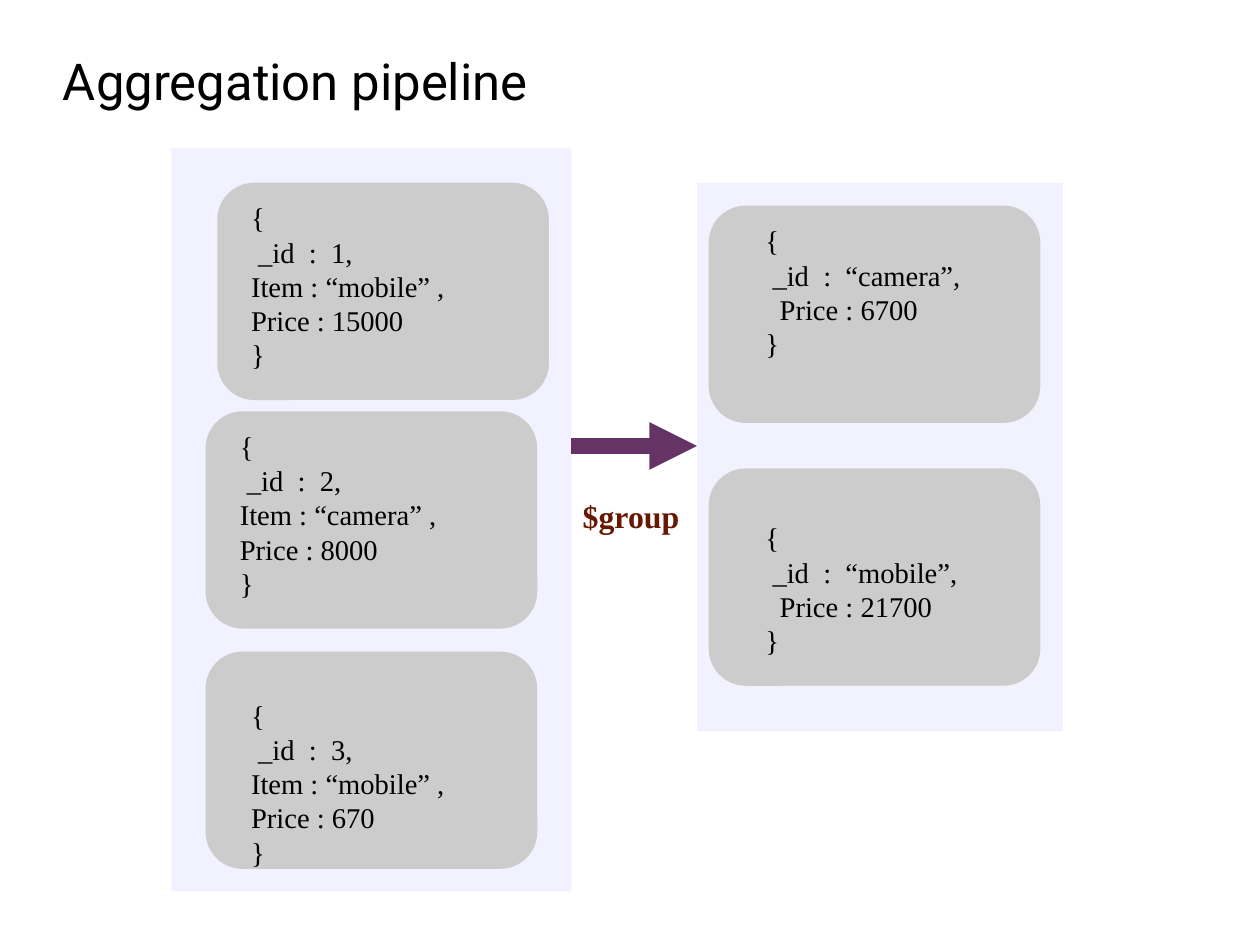
"""Build the aggregation pipeline slide: documents grouped by item."""
from pptx import Presentation
from pptx import util as u
from pptx.dml.color import RGBColor
from pptx.enum import shapes, text
from pptx.oxml.ns import qn
from lxml import etree

TITLE = "Aggregation pipeline"
STAGE = "$group"
SERIF = "Times New Roman"

PANELS = [
    {"area": (3.81, 3.3, 8.89, 16.51), "opacity": 53},
    {"area": (15.49, 4.06, 8.13, 12.19), "opacity": 50},
]
CARD_SIZE = (7.37, 4.83)
CODE_WIDTH = 7.87
LINE_HEIGHT = 0.76
DOCUMENTS = [
    {"card": (4.83, 4.06), "code": (5.33, 4.32),
     "lines": ["{", " _id  :  1,", "Item : “mobile” ,", "Price : 15000", "}"]},
    {"card": (4.57, 9.14), "code": (5.08, 9.4),
     "lines": ["{", " _id  :  2,", "Item : “camera” ,", "Price : 8000", "}"]},
    {"card": (4.57, 14.48), "code": (5.33, 15.37),
     "lines": ["{", " _id  :  3,", "Item : “mobile” ,", "Price : 670", "}"]},
    {"card": (15.75, 4.57), "code": (16.76, 4.83),
     "lines": ["{", " _id  :  “camera”,", "  Price : 6700", "}"]},
    {"card": (15.75, 10.41), "code": (16.76, 11.43),
     "lines": ["{", " _id  :  “mobile”,", "  Price : 21700", "}"]},
]


def color(value):
    return RGBColor.from_string(value)


def cm(*lengths):
    return [u.Cm(length) for length in lengths]


def add_text(page, lines, area, size=18, font=SERIF, ink="000000", bold=False,
             margins=(0.25, 0.13), anchor=text.MSO_ANCHOR.TOP):
    frame = page.shapes.add_textbox(*cm(*area)).text_frame
    frame.word_wrap = True
    frame.vertical_anchor = anchor
    frame.margin_left = frame.margin_right = u.Cm(margins[0])
    frame.margin_top = frame.margin_bottom = u.Cm(margins[1])
    for number, line in enumerate(lines):
        para = frame.add_paragraph() if number else frame.paragraphs[0]
        span = para.add_run()
        span.text = line
        span.font.size = u.Pt(size)
        span.font.name = font
        span.font.bold = bold
        span.font.color.rgb = color(ink)


def add_block(page, kind, area, fill, opacity=100):
    block = page.shapes.add_shape(kind, *cm(*area))
    block.shadow.inherit = False
    block.line.fill.background()
    block.fill.solid()
    block.fill.fore_color.rgb = color(fill)
    if opacity < 100:
        tint = block.fill._xPr.find(".//" + qn("a:srgbClr"))
        etree.SubElement(tint, qn("a:alpha"), val=str(opacity * 1000))
    return block


def add_arrow(page, start, end, ink, width):
    arrow = page.shapes.add_connector(shapes.MSO_CONNECTOR.STRAIGHT, *cm(*start, *end))
    arrow.line.color.rgb = color(ink)
    arrow.line.width = u.Pt(width)
    etree.SubElement(arrow.line._get_or_add_ln(), qn("a:tailEnd"), type="triangle")
    etree.SubElement(arrow._element.spPr, qn("a:effectLst"))


def main():
    deck = Presentation()
    deck.slide_width, deck.slide_height = cm(28, 21)
    page = deck.slides.add_slide(deck.slide_layouts[6])

    add_text(page, [TITLE], (1.4, 0.03, 25.2, 3.51), size=32, font="Roboto",
             margins=(0, 0), anchor=text.MSO_ANCHOR.MIDDLE)
    for panel in PANELS:
        add_block(page, shapes.MSO_SHAPE.RECTANGLE, panel["area"], "E6E6FF", panel["opacity"])
    for document in DOCUMENTS:
        card = add_block(page, shapes.MSO_SHAPE.ROUNDED_RECTANGLE,
                         document["card"] + CARD_SIZE, "CCCCCC")
        card.adjustments[0] = 0.17
        height = LINE_HEIGHT * len(document["lines"]) + 0.7
        add_text(page, document["lines"], document["code"] + (CODE_WIDTH, height))

    left, top, width, _ = PANELS[0]["area"]
    gap_start, gap_end = left + width, PANELS[1]["area"][0]
    add_arrow(page, (gap_start, 9.91), (gap_end, 9.91), "663366", 10)
    add_text(page, [STAGE], (gap_start, 10.9, gap_end - gap_start, 1.04),
             size=20, ink="661900", bold=True)
    deck.save("out.pptx")


if __name__ == "__main__":
    main()
